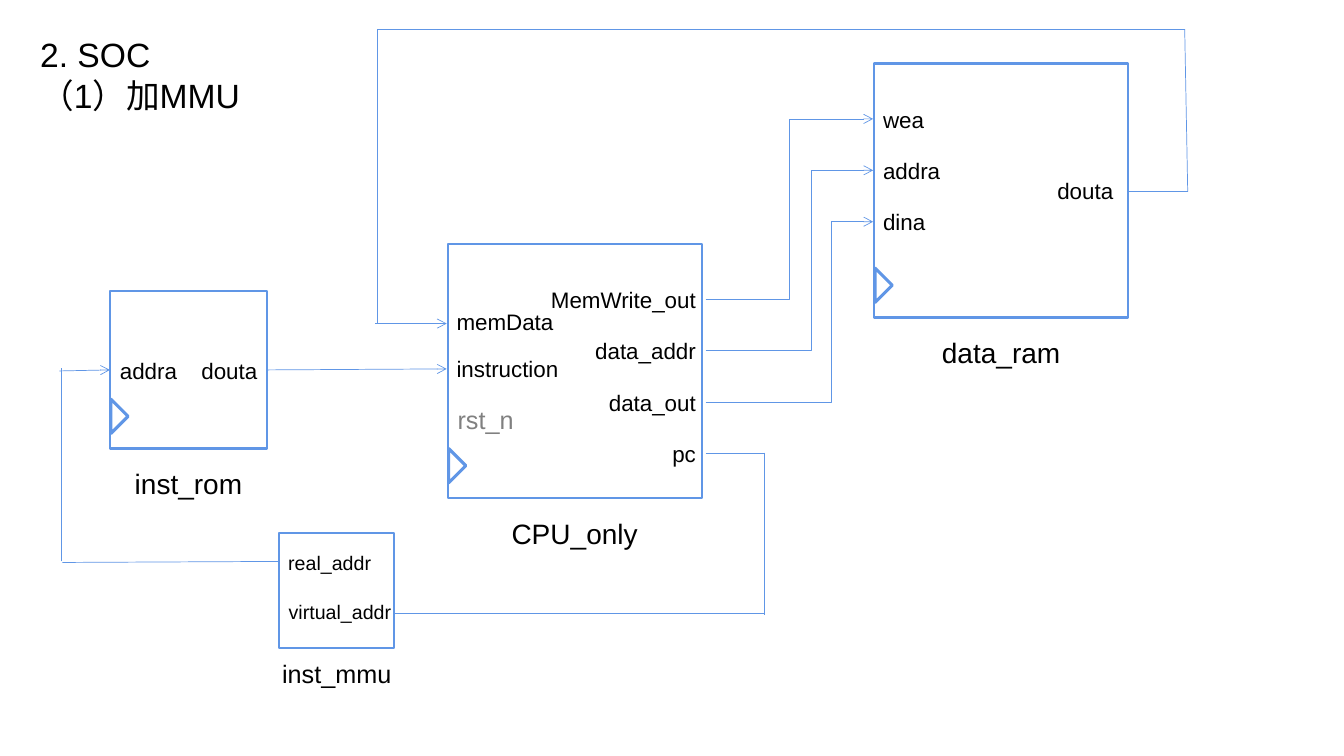
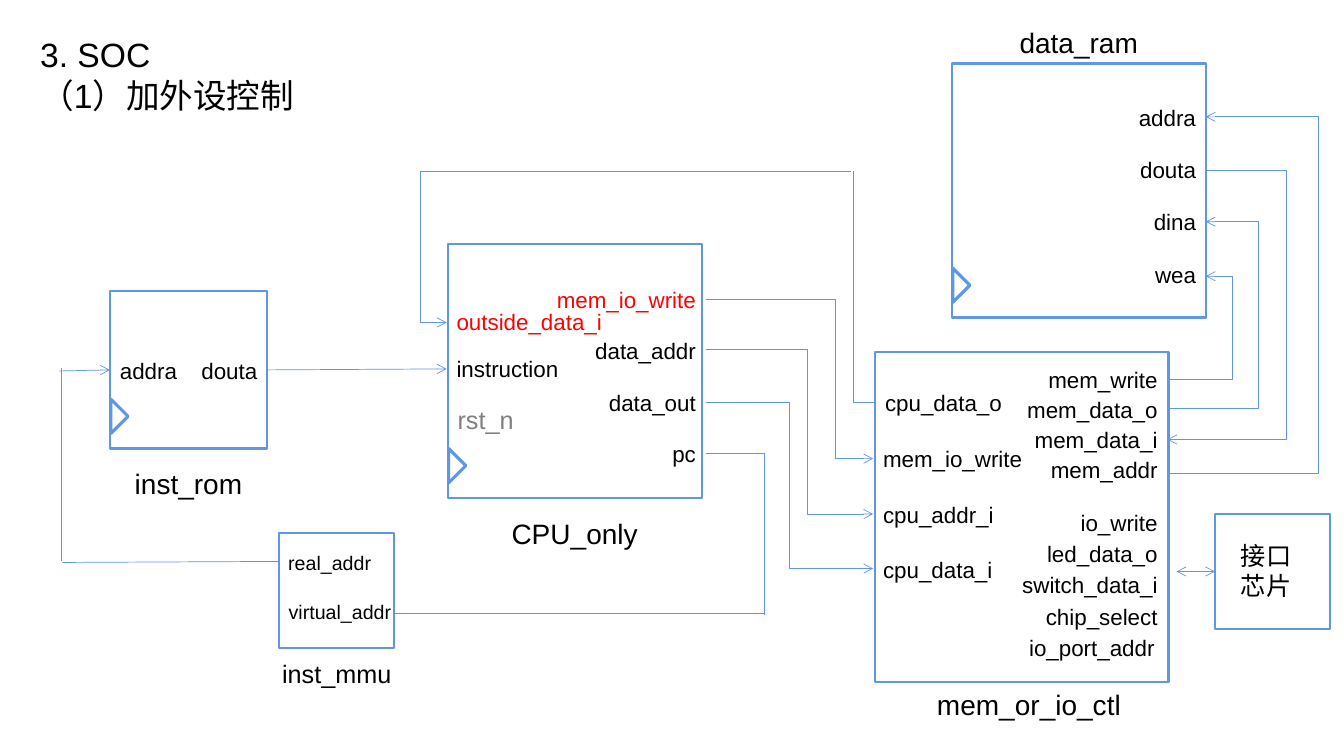
from dataclasses import dataclass

from lxml import etree
from pptx import Presentation
from pptx.dml.color import RGBColor
from pptx.enum.shapes import MSO_CONNECTOR as Connector, MSO_SHAPE as Preset
from pptx.enum.text import MSO_AUTO_SIZE as AutoSize, PP_ALIGN as Align
from pptx.oxml.ns import qn
from pptx.util import Inches, Pt


@dataclass(frozen=True)
class Theme:
    font: str = "Arial"
    blue: RGBColor = RGBColor(0x60, 0x96, 0xE6)
    white: RGBColor = RGBColor(0xFF, 0xFF, 0xFF)
    black: RGBColor = RGBColor(0, 0, 0)
    grey: RGBColor = RGBColor(0x80, 0x80, 0x80)
    red: RGBColor = RGBColor(0xFF, 0, 0)
    title: int = 24
    caption: int = 20
    label: int = 18
    port: int = 16
    small: int = 14
    wire: float = 0.5
    outline: float = 1.5
    clock: float = 2.25


class Diagram:
    def __init__(self, theme):
        self.theme = theme
        self.presentation = Presentation()
        self.presentation.slide_width = Inches(13.33)
        self.presentation.slide_height = Inches(7.5)
        self.slide = None

    def add_slide(self, title, title_width):
        self.slide = self.presentation.slides.add_slide(self.presentation.slide_layouts[6])
        self.add_text(title, 0.3, 0.29, title_width, size=self.theme.title, lines=2)

    def add_text(self, text, left, top, width, size=None, color=None, align=Align.LEFT, lines=1):
        size = size or self.theme.port
        height = round(lines * size * 1.2 / 72 + 0.1, 2)
        shape = self.slide.shapes.add_textbox(Inches(left), Inches(top), Inches(width), Inches(height))
        frame = shape.text_frame
        frame.word_wrap = True
        frame.auto_size = AutoSize.SHAPE_TO_FIT_TEXT
        frame.text = text
        for paragraph in frame.paragraphs:
            paragraph.alignment = align
            for run in paragraph.runs:
                run.font.name = self.theme.font
                run.font.size = Pt(size)
                run.font.color.rgb = color or self.theme.black

    def add_shape(self, preset, left, top, width, height, weight):
        shape = self.slide.shapes.add_shape(
            preset, Inches(left), Inches(top), Inches(width), Inches(height))
        shape.shadow.inherit = False
        shape.fill.solid()
        shape.fill.fore_color.rgb = self.theme.white
        shape.line.color.rgb = self.theme.blue
        shape.line.width = Pt(weight)
        return shape

    def add_module(self, left, top, width, height, caption=None, caption_top=None,
                   size=None, clocked=True):
        self.add_shape(Preset.RECTANGLE, left, top, width, height, self.theme.outline)
        bottom = top + height
        if clocked:
            clock = self.add_shape(Preset.RIGHT_TRIANGLE, left - 0.11, bottom - 0.44,
                                   0.24, 0.24, self.theme.clock)
            clock.rotation = 225
        if caption:
            self.add_text(caption, left + width / 2 - 0.85, caption_top or bottom + 0.13, 1.7,
                          size=size or self.theme.caption, align=Align.CENTER)

    def add_ports(self, ports, edge, top, step=0, align=Align.LEFT, **style):
        for index, (name, width) in enumerate(ports):
            left = edge - width if align == Align.RIGHT else edge
            self.add_text(name, left, top + index * step, width, align=align, **style)

    def add_wire(self, start, end, via=None, head=False, tail=False):
        kind = Connector.STRAIGHT if via is None else Connector.ELBOW
        wire = self.slide.shapes.add_connector(kind, *map(Inches, start + end))
        wire.line.color.rgb = self.theme.blue
        wire.line.width = Pt(self.theme.wire)
        properties = wire.element.spPr
        if via is not None:
            bend = round((via - start[0]) / (end[0] - start[0]) * 100000)
            guides = properties.find(qn("a:prstGeom")).get_or_add_avLst()
            etree.SubElement(guides, qn("a:gd"), name="adj1", fmla=f"val {bend}")
        for shown, tag in ((head, "a:headEnd"), (tail, "a:tailEnd")):
            if shown:
                etree.SubElement(properties.find(qn("a:ln")), qn(tag), type="arrow")
        etree.SubElement(properties, qn("a:effectLst"))

    def add_processor(self, write_port, data_port, data_width, color):
        theme = self.theme
        self.add_module(4.44, 2.42, 2.52, 2.52, "CPU_only")
        self.add_text("rst_n", 4.44, 3.96, 0.79, size=theme.label, color=theme.grey)
        self.add_text("instruction", 4.43, 3.47, 1.26)
        self.add_text(data_port, 4.43, 3.01, data_width, color=color)
        self.add_ports([(write_port, 1.7)], 7, 2.79, align=Align.RIGHT, color=color)
        self.add_ports([("data_addr", 1.26), ("data_out", 1.26), ("pc", 0.58)],
                       7, 3.3, 0.51, Align.RIGHT)

    def add_instruction_path(self):
        theme = self.theme
        self.add_module(1.09, 2.89, 1.56, 1.56, "inst_rom")
        self.add_text("addra", 1.09, 3.49, 0.89)
        self.add_text("douta", 1.87, 3.49, 0.78, align=Align.RIGHT)
        self.add_module(2.77, 5.29, 1.14, 1.14, "inst_mmu", 6.48, theme.label, clocked=False)
        self.add_text("virtual_addr", 2.72, 5.9, 1.26, size=theme.small, align=Align.RIGHT)
        self.add_text("real_addr", 2.76, 5.42, 1.07, size=theme.small)
        for start, end in (((7, 4.5), (7.59, 4.5)), ((7.58, 4.49), (7.58, 6.1)),
                           ((7.58, 6.09), (3.9, 6.09)), ((2.77, 5.57), (0.62, 5.58)),
                           ((0.61, 5.57), (0.61, 3.65))):
            self.add_wire(start, end)
        self.add_wire((0.59, 3.68), (1.09, 3.67), tail=True)
        self.add_wire((2.65, 3.67), (4.43, 3.66), tail=True)


def build_mmu_slide(diagram):
    diagram.add_slide("2. SOC\n（1）加MMU", 2.18)
    diagram.add_processor("MemWrite_out", "memData", 1.26, diagram.theme.black)
    diagram.add_instruction_path()
    diagram.add_module(8.67, 0.63, 2.52, 2.52, "data_ram")
    diagram.add_ports([("wea", 1.26), ("addra", 1.26), ("dina", 1.26)], 8.66, 1, 0.51)
    diagram.add_text("douta", 9.88, 1.71, 1.26, align=Align.RIGHT)
    corners = [(11.19, 1.9), (11.78, 1.9), (11.75, 0.29), (3.74, 0.29), (3.74, 3.21)]
    for start, end in zip(corners, corners[1:]):
        diagram.add_wire(start, end)
    diagram.add_wire((3.72, 3.21), (4.43, 3.21), tail=True)
    for index, via in enumerate((7.83, 8.05, 8.25)):
        drop = index * 0.51
        diagram.add_wire((7, 2.97 + drop), (8.66, 1.18 + drop), via, tail=True)


def build_peripheral_slide(diagram):
    theme = diagram.theme
    diagram.add_slide("3. SOC\n（1）加外设控制", 2.72)
    diagram.add_processor("mem_io_write", "outside_data_i", 1.83, theme.red)
    diagram.add_instruction_path()
    diagram.add_module(9.44, 0.63, 2.52, 2.52, "data_ram", 0.2)
    diagram.add_ports([("addra", 0.9), ("douta", 0.92), ("dina", 0.92), ("wea", 0.92)],
                      11.96, 0.98, 0.52, Align.RIGHT)

    diagram.add_module(8.68, 3.49, 2.91, 3.28, clocked=False)
    diagram.add_text("mem_or_io_ctl", 9.08, 6.77, 2.25, size=theme.caption, align=Align.CENTER)
    diagram.add_text("cpu_data_o", 8.68, 3.81, 1.64)
    diagram.add_ports([("mem_io_write", 1.64), ("cpu_addr_i", 1.42), ("cpu_data_i", 1.42)],
                      8.66, 4.37, 0.55)
    memory_ports = ("mem_write", "mem_data_o", "mem_data_i", "mem_addr")
    device_ports = ("io_write", "led_data_o", "switch_data_i", "chip_select")
    for names, top, step in ((memory_ports, 3.58, 0.3), (device_ports, 5, 0.31)):
        diagram.add_ports([(name, 1.7) for name in names], 11.58, top, step, Align.RIGHT)
    diagram.add_text("io_port_addr", 9.85, 6.24, 1.7, align=Align.RIGHT)

    for start, end, via in (((7, 2.97), (8.66, 4.55), 8.29),
                            ((7, 3.47), (8.66, 5.1), 8.01),
                            ((7, 3.99), (8.66, 5.64), 7.83),
                            ((11.58, 3.76), (11.96, 2.74), 12.22),
                            ((11.58, 4.05), (11.96, 2.2), 12.48),
                            ((11.58, 4.7), (11.96, 1.16), 13.08),
                            ((11.96, 1.69), (11.58, 4.36), 12.76),
                            ((8.44, 1.7), (4.43, 3.2), 4.17)):
        diagram.add_wire(start, end, via, tail=True)
    diagram.add_wire((8.68, 3.99), (8.46, 1.7), 8.46)

    diagram.add_module(12.05, 5.1, 1.14, 1.14, clocked=False)
    diagram.add_text("接口芯片", 12.21, 5.31, 0.8, size=theme.label, lines=2)
    diagram.add_wire((11.67, 5.67), (12.05, 5.67), head=True, tail=True)


diagram = Diagram(Theme())
build_mmu_slide(diagram)
build_peripheral_slide(diagram)
diagram.presentation.save("out.pptx")
